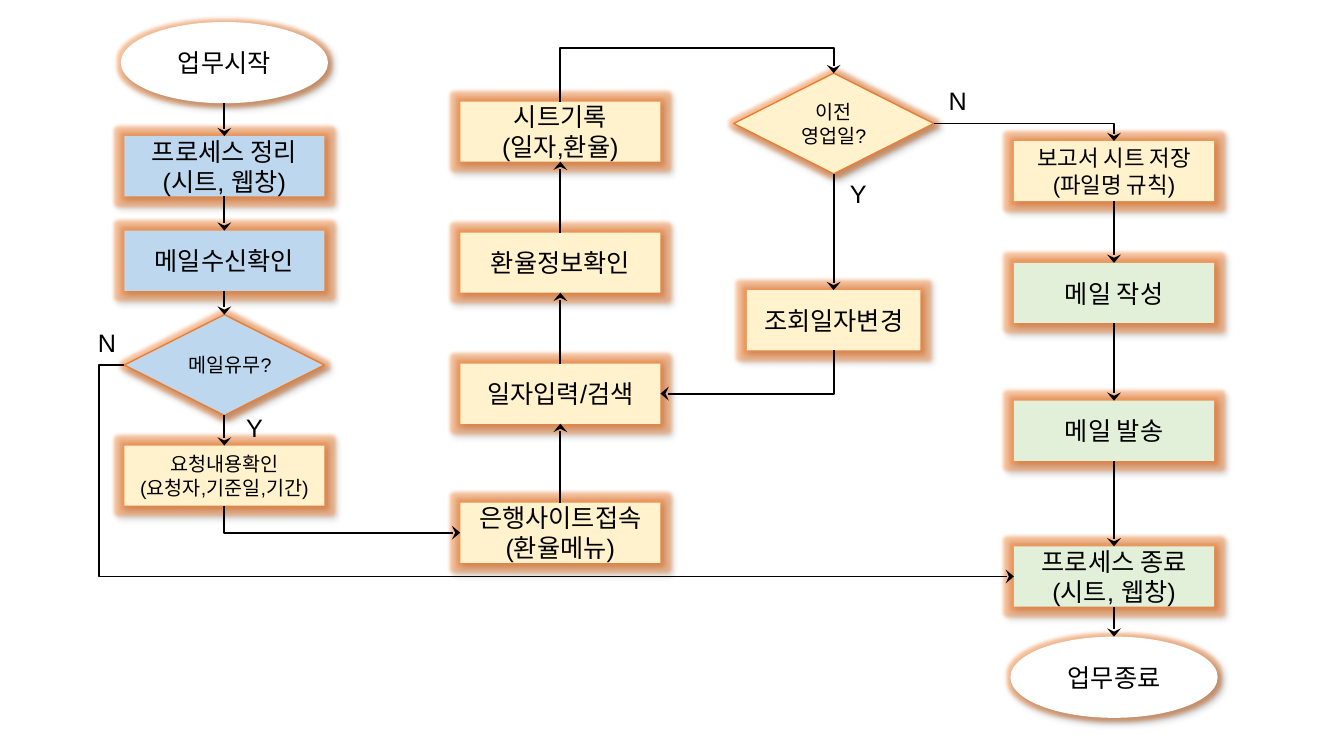
from collections import namedtuple

from lxml.etree import SubElement
from pptx import Presentation
from pptx.dml.color import RGBColor
from pptx.enum.dml import MSO_LINE
from pptx.enum.shapes import MSO_CONNECTOR, MSO_SHAPE
from pptx.enum.text import MSO_ANCHOR, PP_ALIGN
from pptx.oxml.ns import qn
from pptx.util import Pt

COLORS = {
    "text": "000000",
    "arrow": "000000",
    "shadow": "000000",
    "glow": "ED7D31",
    "outline": "ED7D31",
    "terminal": "FFFFFF",
    "prepare": "BDD7EE",
    "lookup": "FFF2CC",
    "mail": "E2F0D9",
}
FONT = {"name": "Arial", "size": Pt(18)}
ARROW = {"width": Pt(1.25), "dash_style": MSO_LINE.SOLID}
STEP_HEIGHT = 43
TERMINAL_WIDTH, TERMINAL_HEIGHT = 148, 58
DECISION_HEIGHT = 72
GLOW_RADIUS = 5

Box = namedtuple("Box", "left top width height")


def color(role):
    return RGBColor.from_string(COLORS[role])


def apply_format(target, values):
    for attribute, value in values.items():
        setattr(target, attribute, value)


def effect_color(effect, role, alpha):
    tint = SubElement(effect, qn("a:srgbClr"), val=COLORS[role])
    SubElement(tint, qn("a:alpha"), val=str(alpha * 1000))
    return tint


def add_effects(node):
    node.shadow.inherit = False
    effects = node._element.spPr.find(qn("a:effectLst"))
    glow = SubElement(effects, qn("a:glow"), rad=str(Pt(GLOW_RADIUS)))
    tint = effect_color(glow, "glow", 40)
    SubElement(tint, qn("a:satMod"), val="175000")
    shadow = SubElement(
        effects, qn("a:outerShdw"), blurRad=str(Pt(4)), dist=str(Pt(3)),
        dir="2700000", algn="tl", rotWithShape="0")
    effect_color(shadow, "shadow", 40)


def write_lines(frame, wording, size, align):
    frame.text = wording
    for paragraph in frame.paragraphs:
        paragraph.alignment = align
        for run in paragraph.runs:
            apply_format(run.font, {**FONT, "size": Pt(size)})
            run.font.color.rgb = color("text")


def add_node(slide, outline, box, wording, role, size):
    node = slide.shapes.add_shape(outline, *map(Pt, box))
    node.fill.solid()
    node.fill.fore_color.rgb = color(role)
    node.line.fill.background()
    add_effects(node)
    node.text_frame.word_wrap = True
    node.text_frame.vertical_anchor = MSO_ANCHOR.MIDDLE
    write_lines(node.text_frame, wording, size, PP_ALIGN.CENTER)
    return node


def add_step(slide, column, top, wording, role, size=18):
    box = Box(column.left, column.top + top, column.width, STEP_HEIGHT)
    return add_node(slide, MSO_SHAPE.RECTANGLE, box, wording, role, size)


def add_terminal(slide, column, top, wording):
    left = column.left + (column.width - TERMINAL_WIDTH) / 2
    box = Box(left, column.top + top, TERMINAL_WIDTH, TERMINAL_HEIGHT)
    return add_node(slide, MSO_SHAPE.OVAL, box, wording, "terminal", 18)


def add_decision(slide, column, top, wording, role):
    box = Box(column.left, column.top + top, column.width, DECISION_HEIGHT)
    decision = add_node(slide, MSO_SHAPE.DIAMOND, box, wording, role, 14)
    decision.line.color.rgb = color("outline")
    decision.line.width = Pt(1)
    return decision


def add_answer(slide, column, left, top, wording):
    box = Box(column.left + left, column.top + top, 27, 29)
    answer = slide.shapes.add_textbox(*map(Pt, box))
    answer.text_frame.word_wrap = True
    write_lines(answer.text_frame, wording, 18, PP_ALIGN.LEFT)


def port(node, side):
    across, down = {"top": (0.5, 0), "bottom": (0.5, 1),
                    "left": (0, 0.5), "right": (1, 0.5)}[side]
    return (int(node.left + across * node.width),
            int(node.top + down * node.height))


def add_arrow(slide, start, end, kind=MSO_CONNECTOR.STRAIGHT):
    arrow = slide.shapes.add_connector(kind, *start, *end)
    apply_format(arrow.line, ARROW)
    arrow.line.color.rgb = color("arrow")
    SubElement(arrow.line._ln, qn("a:tailEnd"), type="stealth", w="lg", len="med")
    SubElement(arrow._element.spPr, qn("a:effectLst"))
    return arrow


def add_bent_arrow(slide, start, end, bends=1, turn=0, flip=False, bend_at=None):
    arrow = add_arrow(slide, start, end, MSO_CONNECTOR.ELBOW)
    width, height = abs(end[0] - start[0]), abs(end[1] - start[1])
    if turn:
        width, height = height, width
    apply_format(arrow, {
        "left": (start[0] + end[0] - width) // 2,
        "top": (start[1] + end[1] - height) // 2,
        "width": width,
        "height": height,
    })
    properties = arrow._element.spPr
    frame = properties.find(qn("a:xfrm"))
    for name, value in {"rot": turn * 60000, "flipH": int(flip), "flipV": 0}.items():
        frame.set(name, str(value))
    geometry = properties.find(qn("a:prstGeom"))
    geometry.set("prst", f"bentConnector{bends + 1}")
    if bend_at is not None:
        SubElement(geometry.find(qn("a:avLst")), qn("a:gd"),
                   name="adj1", fmla=f"val {round(bend_at * 100000)}")


def link_down(slide, nodes):
    for upper, lower in zip(nodes, nodes[1:]):
        add_arrow(slide, port(upper, "bottom"), port(lower, "top"))


def mail_check(slide, column):
    start = add_terminal(slide, column, 0, "업무시작")
    prepare = add_step(slide, column, 81.5, "프로세스 정리\n(시트, 웹창)", "prepare")
    inbox = add_step(slide, column, 149, "메일수신확인", "prepare")
    has_mail = add_decision(slide, column, 209, "메일유무?", "prepare")
    request = add_step(slide, column, 302.5, "요청내용확인\n(요청자,기준일,기간)", "lookup", 14)
    link_down(slide, [start, prepare, inbox, has_mail, request])
    add_answer(slide, column, 80, 275, "Y")
    add_answer(slide, column, -26, 214.5, "N")
    return has_mail, request


def rate_lookup(slide, column):
    record, rate, search, bank = [
        add_step(slide, column, top, wording, "lookup")
        for top, wording in [
            (0, "시트기록\n(일자,환율)"),
            (93.6, "환율정보확인"),
            (187.2, "일자입력/검색"),
            (286.5, "은행사이트접속\n(환율메뉴)"),
        ]
    ]
    climb = [bank, search, rate, record]
    for lower, upper in zip(climb, climb[1:]):
        add_arrow(slide, port(lower, "top"), port(upper, "bottom"))
    return record, search, bank


def date_loop(slide, column):
    previous_day = add_decision(slide, column, 0, "이전\n영업일?", "lookup")
    narrow = column._replace(left=column.left + 9.5, width=column.width - 19)
    change_date = add_step(slide, narrow, 155, "조회일자변경", "lookup")
    link_down(slide, [previous_day, change_date])
    add_answer(slide, column, 146.5, 5.5, "N")
    add_answer(slide, column, 76, 71.5, "Y")
    return previous_day, change_date


def report_mail(slide, column):
    report = add_step(slide, column, 0, "보고서 시트 저장\n(파일명 규칙)", "lookup", 16)
    compose = add_step(slide, column, 87, "메일 작성", "mail")
    send = add_step(slide, column, 185.5, "메일 발송", "mail")
    close = add_step(slide, column, 289.5, "프로세스 종료\n(시트, 웹창)", "mail")
    finish = add_terminal(slide, column, 354, "업무종료")
    link_down(slide, [report, compose, send, close, finish])
    return report, close


def build_flow(slide):
    has_mail, request = mail_check(slide, Box(88.75, 15.75, 143, 346))
    record, search, bank = rate_lookup(slide, Box(328.75, 72.5, 143, 330))
    previous_day, change_date = date_loop(slide, Box(524, 52.25, 143, 198))
    report, close = report_mail(slide, Box(724.25, 100.75, 143, 412))
    add_bent_arrow(slide, port(request, "bottom"), port(bank, "left"), turn=270, flip=True)
    add_bent_arrow(slide, port(has_mail, "left"), port(close, "left"), bends=2, bend_at=-0.028)
    add_bent_arrow(slide, port(record, "top"), port(previous_day, "top"),
                   bends=2, turn=270, bend_at=1.89)
    add_bent_arrow(slide, port(change_date, "bottom"), port(search, "right"), turn=90)
    add_bent_arrow(slide, port(previous_day, "right"), port(report, "top"))


def main():
    deck = Presentation()
    apply_format(deck, {"slide_width": Pt(960), "slide_height": Pt(540)})
    build_flow(deck.slides.add_slide(deck.slide_layouts[6]))
    deck.save("out.pptx")


if __name__ == "__main__":
    main()
